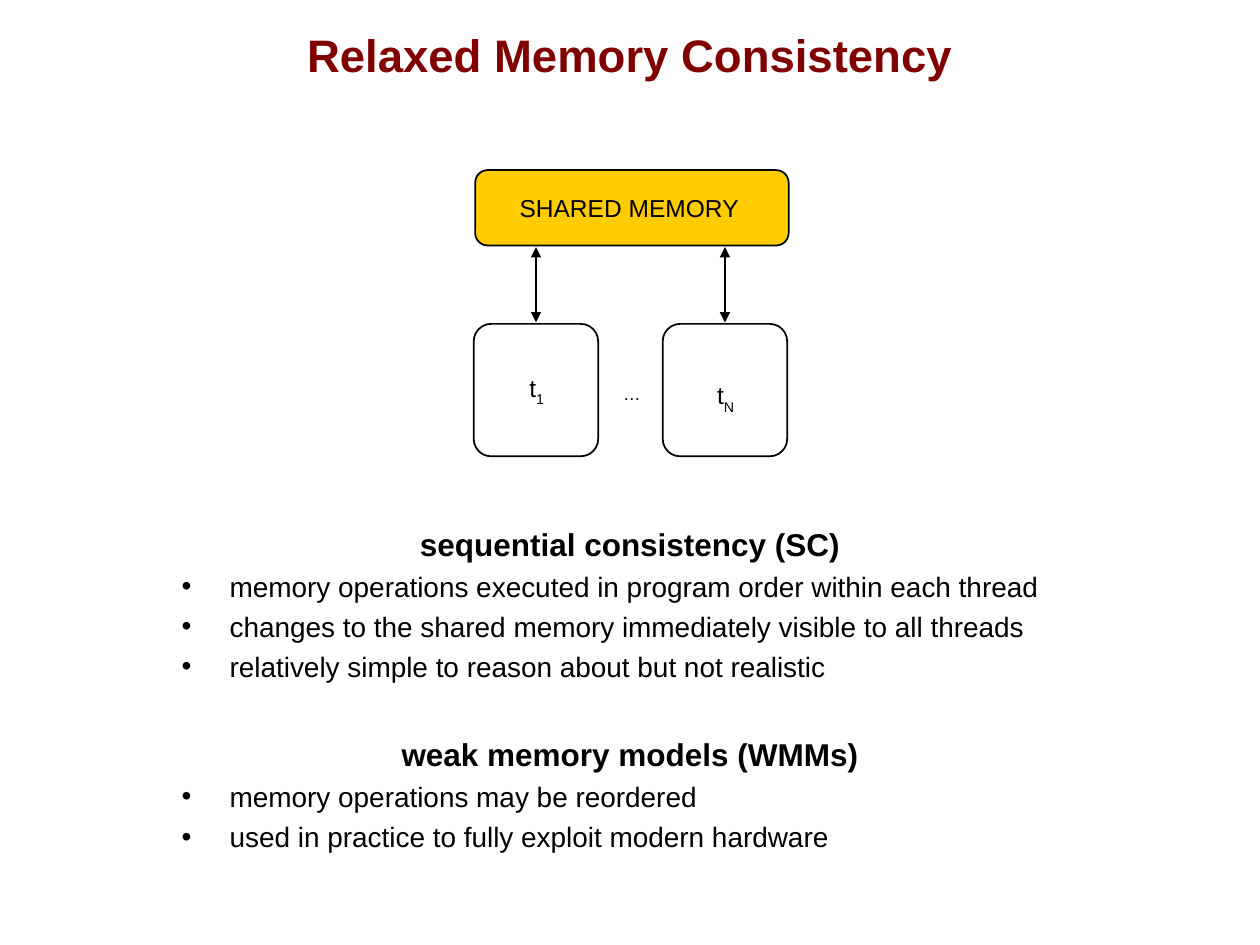
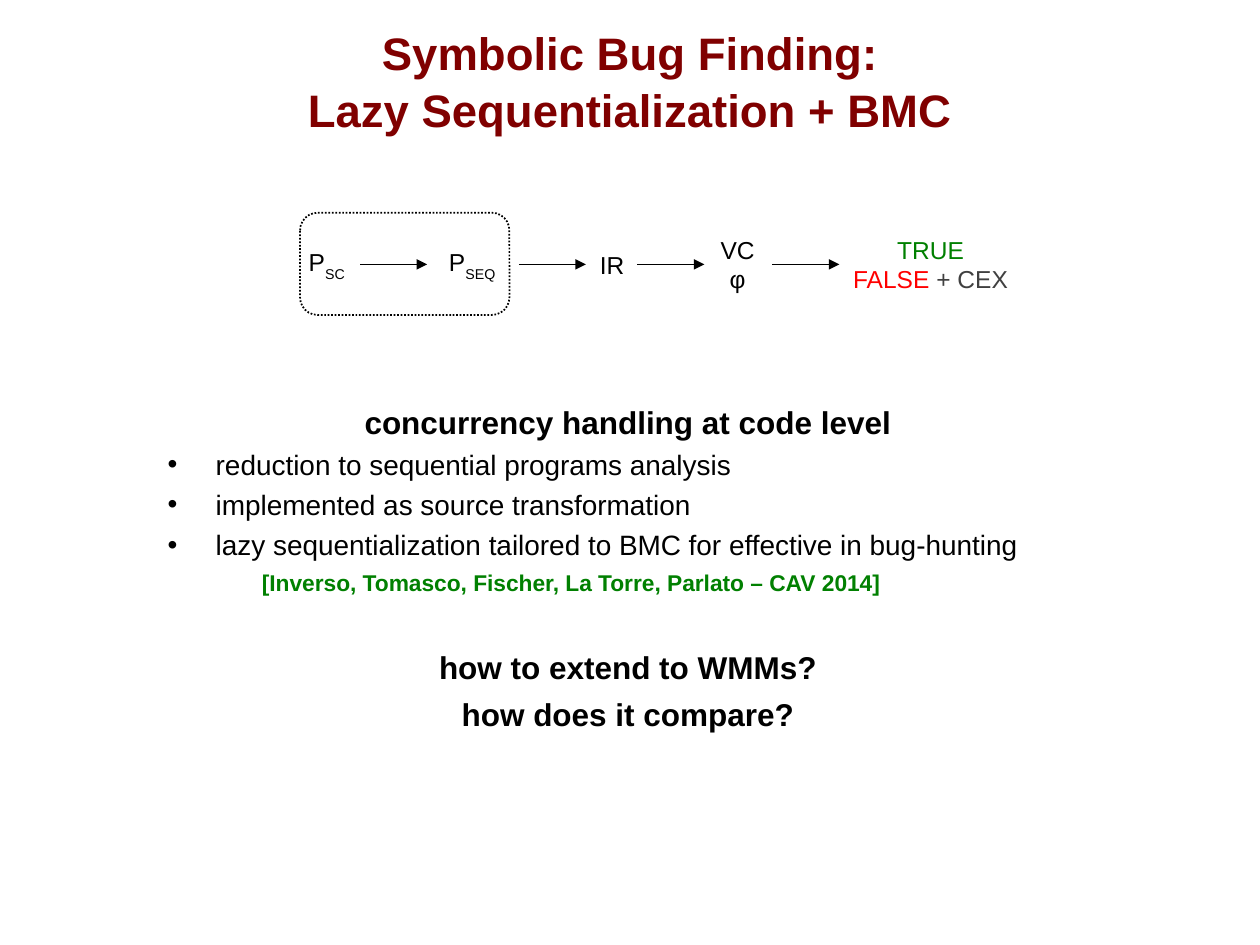
from lxml import etree
from pptx import Presentation
from pptx.dml.color import RGBColor
from pptx.enum.dml import MSO_LINE
from pptx.enum.shapes import MSO_CONNECTOR, MSO_SHAPE
from pptx.enum.text import MSO_ANCHOR, MSO_AUTO_SIZE, PP_ALIGN
from pptx.oxml.ns import qn
from pptx.util import Cm, Pt

BLACK = RGBColor(0x00, 0x00, 0x00)
WHITE = RGBColor(0xFF, 0xFF, 0xFF)
MAROON = RGBColor(0x80, 0x00, 0x00)
GOLD = RGBColor(0xFF, 0xCC, 0x00)
GREEN = RGBColor(0x00, 0x80, 0x00)
CITATION_GREEN = RGBColor(0x01, 0x80, 0x01)
RED = RGBColor(0xFF, 0x00, 0x00)
GREY = RGBColor(0x40, 0x40, 0x40)

CENTER, LEFT = PP_ALIGN.CENTER, PP_ALIGN.LEFT
MIDDLE, TOP = MSO_ANCHOR.MIDDLE, MSO_ANCHOR.TOP
STRAIGHT = MSO_CONNECTOR.STRAIGHT
ROUNDED = MSO_SHAPE.ROUNDED_RECTANGLE
DOTTED = MSO_LINE.ROUND_DOT
NO_AUTOFIT = MSO_AUTO_SIZE.NONE

FONT = "Arial"
INSET = Cm(0.13)
LINE_WIDTH = Pt(1)
BULLET_INDENT = Cm(0.97)
CITATION_INDENT = Cm(1.9)
SECTION_GAP = 30
# kind of body paragraph: size, bold, colour, alignment, space before
BODY_STYLES = {
    "heading": (18, True, BLACK, CENTER, 5),
    "section": (18, True, BLACK, CENTER, SECTION_GAP),
    "bullet": (16, False, BLACK, LEFT, 3.7),
    "citation": (13, True, CITATION_GREEN, LEFT, 4),
}


class Deck:
    def __init__(self):
        self.prs = Presentation()
        self.prs.slide_width, self.prs.slide_height = Cm(25.4), Cm(19.05)
        self.s = None

    def add_slide(self, title_lines, title_height):
        self.s = self.prs.slides.add_slide(self.prs.slide_layouts[5])
        sp = self.s.shapes.title
        sp.left, sp.top = 0, 0
        sp.width, sp.height = self.prs.slide_width, Cm(title_height)
        tf = self.frame(sp, MIDDLE)
        tf.margin_top = Cm(0.2)
        for i, line in enumerate(title_lines):
            p = self.paragraph(tf, i, CENTER, 1.5)
            self.run(p, line, 26, MAROON, bold=True)

    def frame(self, sp, anchor, wrap=True):
        tf = sp.text_frame
        tf.word_wrap = wrap
        tf.auto_size = NO_AUTOFIT
        tf.vertical_anchor = anchor
        tf.margin_left = tf.margin_right = INSET
        tf.margin_top = tf.margin_bottom = INSET
        return tf

    def paragraph(self, tf, index, align, space_before=0):
        p = tf.add_paragraph() if index else tf.paragraphs[0]
        p.alignment = align
        p.space_before = Pt(space_before if index else 0)
        return p

    def run(self, p, text, size, color, bold=False, baseline=0):
        r = p.add_run()
        r.text = text
        r.font.name, r.font.size, r.font.bold = FONT, Pt(size), bold
        r.font.color.rgb = color
        if baseline:
            r._r.get_or_add_rPr().set("baseline", str(baseline * 1000))

    def label(self, left, top, width, height, lines, size=14, anchor=MIDDLE):
        """Centred text; each line is a list of (text, colour, baseline %) runs."""
        sp = self.s.shapes.add_textbox(Cm(left), Cm(top), Cm(width), Cm(height))
        tf = self.frame(sp, anchor, wrap=False)
        for i, line in enumerate(lines):
            p = self.paragraph(tf, i, CENTER)
            for text, color, baseline in line:
                self.run(p, text, size, color, baseline=baseline)

    def body(self, left, top, width, height, items):
        sp = self.s.shapes.add_textbox(Cm(left), Cm(top), Cm(width), Cm(height))
        tf = self.frame(sp, TOP)
        for i, (kind, text) in enumerate(items):
            size, bold, color, align, gap = BODY_STYLES[kind]
            p = self.paragraph(tf, i, align, gap)
            pPr = p._p.get_or_add_pPr()
            if kind == "bullet":
                pPr.set("marL", str(BULLET_INDENT))
                pPr.set("indent", str(-BULLET_INDENT))
                etree.SubElement(pPr, qn("a:buFont")).set("typeface", FONT)
                etree.SubElement(pPr, qn("a:buChar")).set("char", "•")
            elif kind == "citation":
                pPr.set("marL", str(CITATION_INDENT))
            self.run(p, text, size, color, bold)

    def box(self, left, top, width, height, fill, corner, dash=None):
        sp = self.s.shapes.add_shape(ROUNDED, Cm(left), Cm(top), Cm(width), Cm(height))
        sp.adjustments[0] = corner
        sp.shadow.inherit = False
        sp.fill.solid()
        sp.fill.fore_color.rgb = fill
        sp.line.color.rgb = BLACK
        sp.line.width = LINE_WIDTH
        if dash:
            sp.line.dash_style = dash

    def arrow(self, x1, y1, x2, y2, both_ends=False):
        c = self.s.shapes.add_connector(STRAIGHT, Cm(x1), Cm(y1), Cm(x2), Cm(y2))
        c.line.color.rgb = BLACK
        c.line.width = LINE_WIDTH
        spPr = c._element.spPr
        ln = spPr.get_or_add_ln()
        for end in ("a:headEnd", "a:tailEnd") if both_ends else ("a:tailEnd",):
            etree.SubElement(ln, qn(end)).set("type", "triangle")
        etree.SubElement(spPr, qn("a:effectLst"))


def with_subscript(text, sub, baseline):
    return [[(text, BLACK, 0), (sub, BLACK, baseline)]]


def build_memory_slide(deck):
    deck.add_slide(["Relaxed Memory Consistency"], 2.1)
    deck.body(3.53, 10.45, 18.34, 7.89, [
        ("heading", "sequential consistency (SC)"),
        ("bullet", "memory operations executed in program order within each thread"),
        ("bullet", "changes to the shared memory immediately visible to all threads"),
        ("bullet", "relatively simple to reason about but not realistic"),
        ("section", "weak memory models (WMMs)"),
        ("bullet", "memory operations may be reordered"),
        ("bullet", "used in practice to fully exploit modern hardware"),
    ])
    deck.box(9.58, 3.43, 6.32, 1.52, GOLD, 0.167)
    deck.label(10.31, 3.78, 4.75, 0.81, [[("SHARED MEMORY", BLACK, 0)]])
    thread_width = 2.51
    for left, sub, label_top in ((9.55, "1", 7.39), (13.36, "N", 7.54)):
        deck.box(left, 6.53, thread_width, 2.67, WHITE, 0.14)
        deck.label(left + 0.42, label_top, 1.7, 0.91,
                   with_subscript("t", sub, -30), anchor=TOP)
        middle = left + thread_width / 2
        deck.arrow(middle, 6.5, middle, 4.98, both_ends=True)
    deck.label(11.25, 7.62, 2.97, 0.64, [[("…", BLACK, 0)]], size=10)


def build_pipeline_slide(deck):
    deck.add_slide(["Symbolic Bug Finding:", "Lazy Sequentialization + BMC"], 3.18)
    deck.body(3.25, 8, 18.82, 7.2, [
        ("heading", "concurrency handling at code level"),
        ("bullet", "reduction to sequential programs analysis"),
        ("bullet", "implemented as source transformation"),
        ("bullet", "lazy sequentialization tailored to BMC for effective in bug-hunting"),
        ("citation", "[Inverso, Tomasco, Fischer, La Torre, Parlato – CAV 2014]"),
        ("section", "how to extend to WMMs?"),
        ("heading", "how does it compare?"),
    ])
    deck.box(6.05, 4.29, 4.22, 2.06, WHITE, 0.171, DOTTED)
    axis, arrow_length = 5.33, 1.35
    stages = [
        (6.07, 1.04, 0.94, with_subscript("P", "SC", -33)),
        (8.76, 1.52, 0.94, with_subscript("P", "SEQ", -33)),
        (11.96, 0.76, 0.81, [[("IR", BLACK, 0)]]),
        (14.35, 1.04, 1.37, [[("VC", BLACK, 0)], [("φ", BLACK, 0)]]),
        (17.07, 3.38, 1.37, [[("TRUE", GREEN, 0)],
                             [("FALSE", RED, 0), (" + CEX", GREY, 0)]]),
    ]
    for left, width, height, lines in stages:
        deck.label(left, axis - height / 2, width, height, lines)
    for start in (7.26, 10.46, 12.85, 15.57):
        deck.arrow(start, axis, start + arrow_length, axis)


def main():
    deck = Deck()
    build_memory_slide(deck)
    build_pipeline_slide(deck)
    deck.prs.save("out.pptx")


if __name__ == "__main__":
    main()
